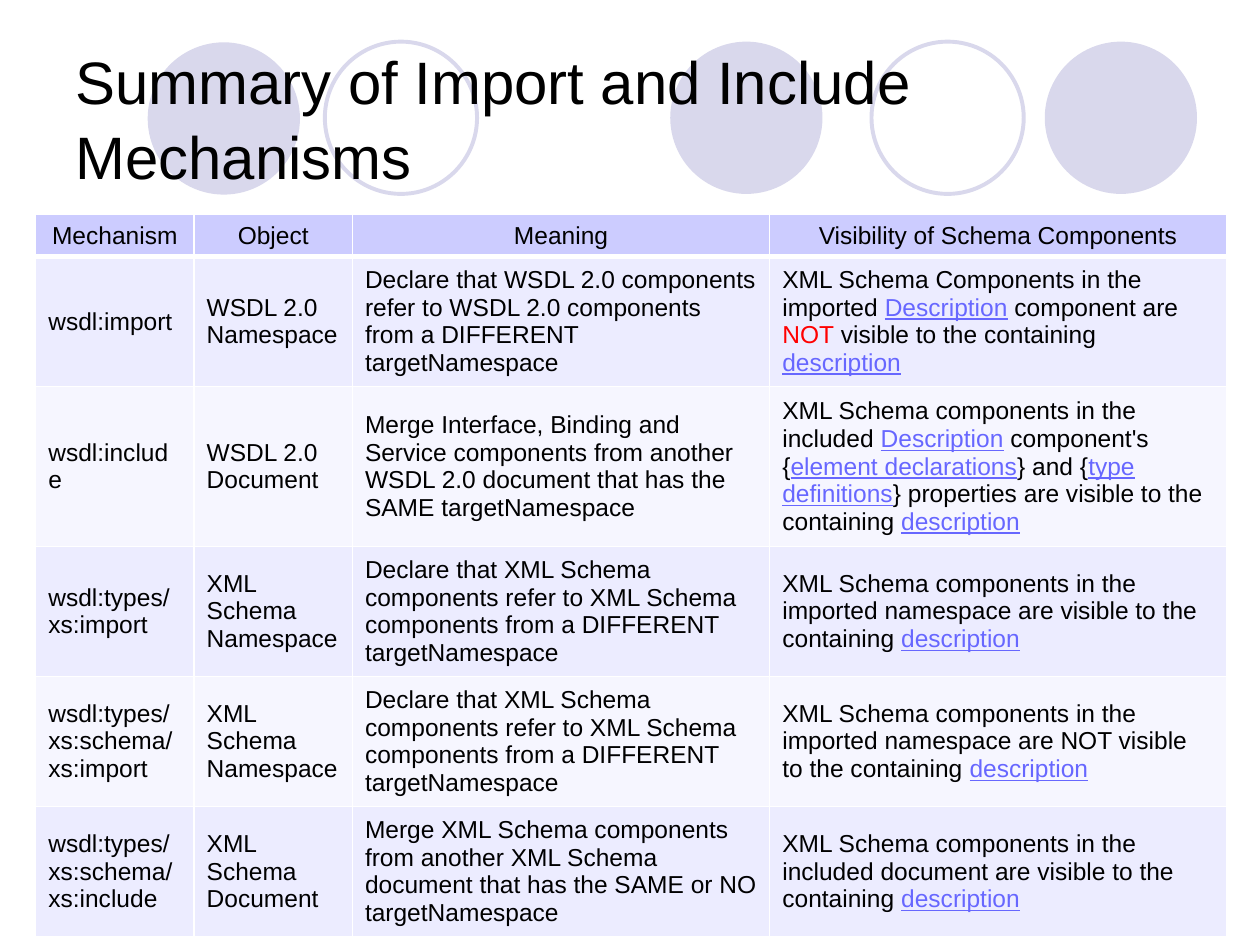
from lxml.etree import SubElement
from pptx import Presentation
from pptx.dml.color import RGBColor
from pptx.enum.shapes import MSO_SHAPE as Shape
from pptx.enum.text import MSO_ANCHOR as Anchor, MSO_AUTO_SIZE as AutoSize, PP_ALIGN as Align
from pptx.oxml.ns import qn
from pptx.util import Pt

BLACK = RGBColor(0x00, 0x00, 0x00)
RED = RGBColor(0xFF, 0x00, 0x00)
LINK = RGBColor(0x67, 0x67, 0xFF)
CIRCLE = RGBColor(0xD9, 0xD8, 0xEC)
HEADER = RGBColor(0xCC, 0xCC, 0xFF)
BAND_DARK = RGBColor(0xEC, 0xEC, 0xFF)
BAND_LIGHT = RGBColor(0xF6, 0xF6, 0xFF)
WHITE = RGBColor(0xFF, 0xFF, 0xFF)
FONT = "Arial"


def add_border(cell, side, width):
    line = SubElement(cell._tc.get_or_add_tcPr(), qn(f"a:{side}"), w=str(Pt(width)))
    SubElement(SubElement(line, qn("a:solidFill")), qn("a:srgbClr"), val=str(WHITE))


def style_run(run, size, color):
    run.font.name = FONT
    run.font.size = Pt(size)
    run.font.color.rgb = color


prs = Presentation()
prs.slide_width, prs.slide_height = Pt(720), Pt(540)
slide = prs.slides.add_slide(prs.slide_layouts[5])
shapes = slide.shapes

CIRCLES = [(383, 23.8, True), (597, 23.8, True), (84.4, 24.2, True),
           (498, 23.8, False), (185.6, 23.8, False)]
for left, top, filled in CIRCLES:
    circle = shapes.add_shape(Shape.OVAL, Pt(left), Pt(top), Pt(87), Pt(87))
    circle.shadow.inherit = False
    if filled:
        circle.fill.solid()
        circle.fill.fore_color.rgb = CIRCLE
        circle.line.fill.background()
    else:
        circle.fill.background()
        circle.line.color.rgb = CIRCLE
        circle.line.width = Pt(2.25)

title = shapes.title
shapes._spTree.append(title._element)
title.left, title.top, title.width, title.height = Pt(36), Pt(21.6), Pt(648), Pt(90)
title.text_frame.text = "Summary of Import and Include Mechanisms"
title.text_frame.auto_size = AutoSize.NONE
title.text_frame.vertical_anchor = Anchor.MIDDLE
heading = title.text_frame.paragraphs[0]
heading.alignment = Align.LEFT
heading.line_spacing = 1.05
style_run(heading.runs[0], 34.2, BLACK)

# Every second part between bars is highlighted.
ROWS = [
    ("Mechanism", "Object", "Meaning", "Visibility of Schema Components"),
    ("wsdl:import", "WSDL 2.0 Namespace",
     "Declare that WSDL 2.0 components refer to WSDL 2.0 components "
     "from a DIFFERENT targetNamespace",
     "XML Schema Components in the imported |Description| component are "
     "|NOT| visible to the containing |description"),
    ("wsdl:include", "WSDL 2.0 Document",
     "Merge Interface, Binding and Service components from another "
     "WSDL 2.0 document that has the SAME targetNamespace",
     "XML Schema components in the included |Description| component's "
     "{|element declarations|} and {|type definitions|} properties are "
     "visible to the containing |description"),
    ("wsdl:types/ xs:import", "XML Schema Namespace",
     "Declare that XML Schema components refer to XML Schema components "
     "from a DIFFERENT targetNamespace",
     "XML Schema components in the imported namespace are visible to the "
     "containing |description"),
    ("wsdl:types/ xs:schema/xs:import", "XML Schema Namespace",
     "Declare that XML Schema components refer to XML Schema components "
     "from a DIFFERENT targetNamespace",
     "XML Schema components in the imported namespace are NOT visible to "
     "the containing |description"),
    ("wsdl:types/ xs:schema/xs:include", "XML Schema Document",
     "Merge XML Schema components from another XML Schema document that "
     "has the SAME or NO targetNamespace",
     "XML Schema components in the included document are visible to the "
     "containing |description"),
]
COLUMN_WIDTHS = [90.5, 90.5, 238.5, 261]
ROW_HEIGHTS = [24, 74.3, 91.4, 74.3, 74.3, 74.3]

mechanisms = shapes.add_table(len(ROWS), len(COLUMN_WIDTHS), Pt(20.4), Pt(122.6),
                              Pt(sum(COLUMN_WIDTHS)), Pt(sum(ROW_HEIGHTS))).table
for column, width in zip(mechanisms.columns, COLUMN_WIDTHS):
    column.width = Pt(width)
for row, height in zip(mechanisms.rows, ROW_HEIGHTS):
    row.height = Pt(height)

for r, texts in enumerate(ROWS):
    band = HEADER if r == 0 else BAND_DARK if r % 2 else BAND_LIGHT
    for c, text in enumerate(texts):
        cell = mechanisms.cell(r, c)
        cell.vertical_anchor = Anchor.MIDDLE
        add_border(cell, "lnL", 1)
        add_border(cell, "lnR", 1)
        add_border(cell, "lnT", 3 if r == 1 else 1)
        add_border(cell, "lnB", 3 if r == 0 else 1)
        cell.fill.solid()
        cell.fill.fore_color.rgb = band
        paragraph = cell.text_frame.paragraphs[0]
        paragraph.alignment = Align.CENTER if r == 0 else Align.LEFT
        for i, part in enumerate(text.split("|")):
            run = paragraph.add_run()
            run.text = part
            is_link = i % 2 == 1 and part != "NOT"
            style_run(run, 14, LINK if is_link else RED if part == "NOT" else BLACK)
            run.font.bold = False
            run.font.underline = is_link

prs.save("out.pptx")
